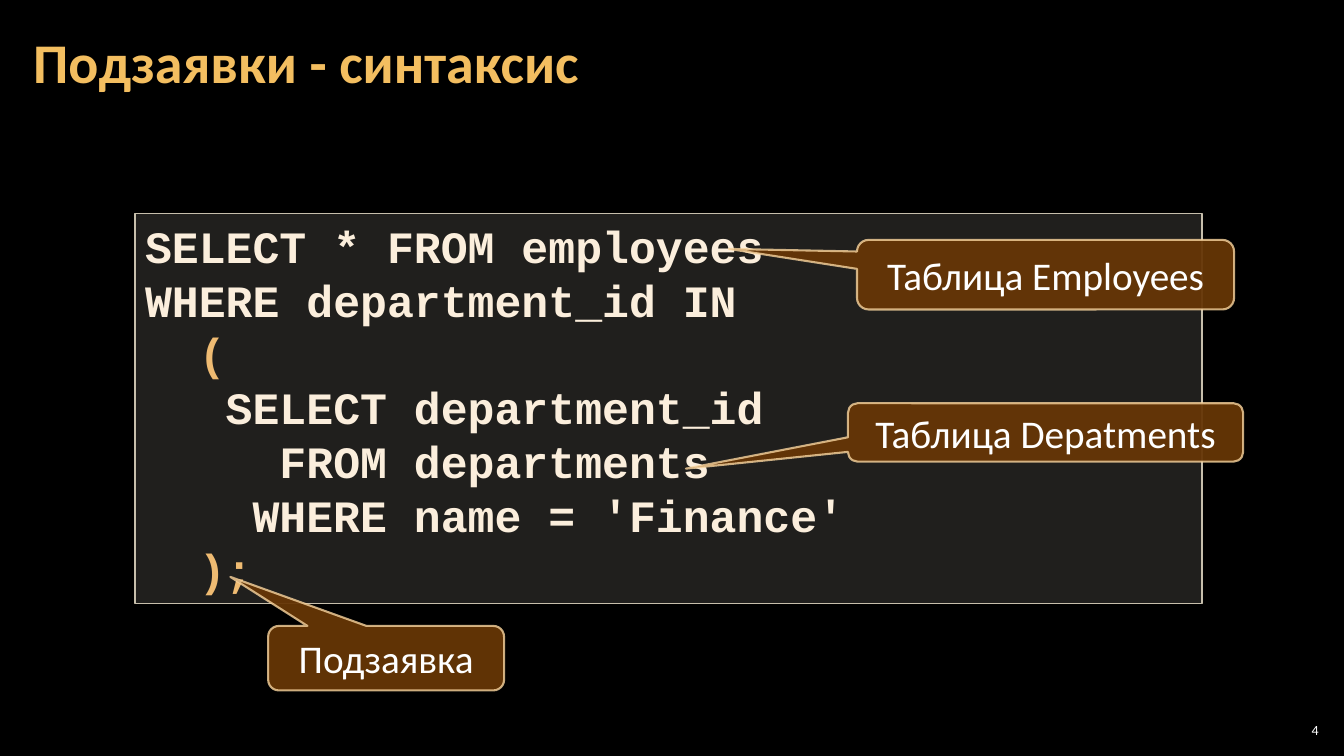
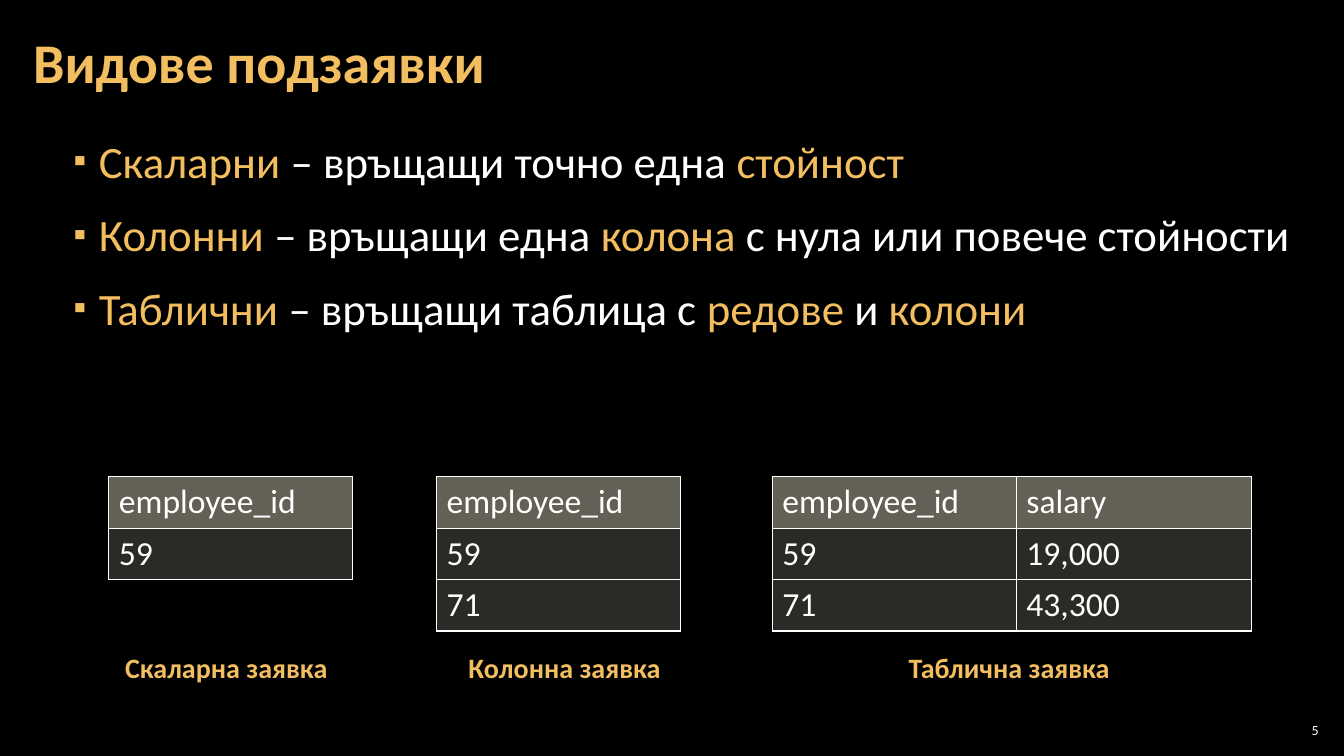
from dataclasses import dataclass

from lxml import etree
from pptx import Presentation
from pptx.dml.color import RGBColor
from pptx.enum.shapes import MSO_SHAPE
from pptx.enum.text import MSO_ANCHOR, PP_ALIGN
from pptx.oxml.ns import qn
from pptx.util import Inches, Pt

RECTANGLE = MSO_SHAPE.RECTANGLE
CALLOUT = MSO_SHAPE.ROUNDED_RECTANGULAR_CALLOUT
LEFT, CENTER, RIGHT = PP_ALIGN.LEFT, PP_ALIGN.CENTER, PP_ALIGN.RIGHT
TOP, MIDDLE = MSO_ANCHOR.TOP, MSO_ANCHOR.MIDDLE

BLACK, WHITE, GOLD = "000000", "FFFFFF", "F3BE60"
CODE_TEXT, CODE_ACCENT = "FBEEDC", "EFBB72"
PANEL, PANEL_LINE, HEADER = "D9D5C7", "C7BFAC", "C6C0AA"
CALLOUT_FILL, CALLOUT_LINE = "663606", "F8D49E"

BODY_FONT, CODE_FONT = "Calibri", "Courier New"
CODE_SIZE = 32
CODE_CHARACTER = 0.6 * CODE_SIZE / 72
DEFAULT_MARGINS = (0.1, 0.05)
BODY_MARGINS = (0.12, 0.04)
TABLE_TOP, ROW_HEIGHT = 4.73, 0.51
CAPTION_TOP, CAPTION_HEIGHT = 6.4, 0.44


@dataclass
class Span:
    text: str
    colour: str = WHITE


@dataclass
class Paragraph:
    spans: list[Span]
    indent: float = 0
    hanging: float = 0
    bullet: str = ""


@dataclass
class Callout:
    text: str
    box: tuple[float, float, float, float]
    tip: tuple[float, float]


@dataclass
class Result:
    """A query result: a table with a caption below it."""
    left: float
    widths: list[float]
    rows: list[list[str]]
    caption: str
    caption_left: float
    caption_width: float


CODE = [
    (0, "SELECT * FROM employees", CODE_TEXT),
    (0, "WHERE department_id IN", CODE_TEXT),
    (2, "(", CODE_ACCENT),
    (3, "SELECT department_id", CODE_TEXT),
    (5, "FROM departments", CODE_TEXT),
    (4, "WHERE name = 'Finance'", CODE_TEXT),
    (2, ");", CODE_ACCENT),
]
CALLOUTS = [
    Callout("Таблица Depatments", (8.41, 4, 3.92, 0.58), (-0.91, 0.62)),
    Callout("Подзаявка", (2.66, 6.21, 2.34, 0.64), (-0.66, -1.26)),
    Callout("Таблица Employees", (8.5, 2.38, 3.74, 0.69), (-0.84, -0.37)),
]
# Odd pieces are highlighted, even ones are plain.
KINDS = [
    ["Скаларни", " – връщащи точно една ", "стойност"],
    ["Колонни", " – връщащи една ", "колона", " с нула или повече стойности"],
    ["Таблични", " – връщащи таблица с ", "редове", " и ", "колони"],
]
RESULTS = [
    Result(1.08, [2.42], [["employee_id"], ["59"]],
           "Скаларна заявка", 1.08, 2.33),
    Result(4.33, [2.42], [["employee_id"], ["59"], ["71"]],
           "Колонна заявка", 4.45, 2.3),
    Result(7.66, [2.42, 2.33],
           [["employee_id", "salary"], ["59", "19,000"], ["71", "43,300"]],
           "Таблична заявка", 7.58, 4.86),
]


def paint(fill, colour: str, owner=None, opacity: int = 100) -> None:
    """Fill with a colour; owner is the XML parent, needed for transparency."""
    fill.solid()
    fill.fore_color.rgb = RGBColor.from_string(colour)
    if opacity < 100:
        solid = owner.find(qn("a:solidFill"))
        etree.SubElement(solid[0], qn("a:alpha"), val=str(opacity * 1000))


def add_bullet(properties, character: str) -> None:
    colour = etree.SubElement(properties, qn("a:buClr"))
    etree.SubElement(colour, qn("a:srgbClr"), val=GOLD)
    etree.SubElement(properties, qn("a:buSzPct"), val="80000")
    etree.SubElement(properties, qn("a:buFont"), typeface=BODY_FONT)
    etree.SubElement(properties, qn("a:buChar"), char=character)


def write(frame, paragraphs: list[Paragraph], *, size: float,
          font: str = BODY_FONT, bold: bool = False, align=LEFT, anchor=TOP,
          margins: tuple[float, float] = DEFAULT_MARGINS,
          line_spacing: float = 1, gap: float = 0) -> None:
    frame.word_wrap = True
    frame.vertical_anchor = anchor
    frame.margin_left = frame.margin_right = Inches(margins[0])
    frame.margin_top = frame.margin_bottom = Inches(margins[1])
    for index, paragraph in enumerate(paragraphs):
        para = frame.add_paragraph() if index else frame.paragraphs[0]
        para.alignment = align
        para.line_spacing = line_spacing
        para.space_before = para.space_after = Pt(gap)
        properties = para._p.get_or_add_pPr()
        properties.set("marL", str(Inches(paragraph.indent)))
        properties.set("indent", str(Inches(paragraph.hanging)))
        if paragraph.bullet:
            add_bullet(properties, paragraph.bullet)
        for span in paragraph.spans:
            run = para.add_run()
            run.text = span.text
            run.font.name = font
            run.font.size = Pt(size)
            run.font.bold = bold
            paint(run.font.fill, span.colour)


def line(text: str, colour: str = WHITE) -> list[Paragraph]:
    return [Paragraph([Span(text, colour)])]


def add_text(page, box: tuple[float, float, float, float],
             paragraphs: list[Paragraph], **text_format) -> None:
    shape = page.shapes.add_textbox(*map(Inches, box))
    write(shape.text_frame, paragraphs, **text_format)


def add_panel(page, kind, box: tuple[float, float, float, float], *,
              fill: str, fill_opacity: int, outline: str, width: float,
              outline_opacity: int = 100):
    shape = page.shapes.add_shape(kind, *map(Inches, box))
    shape.shadow.inherit = False
    properties = shape.element.spPr
    paint(shape.fill, fill, properties, fill_opacity)
    shape.line.width = Pt(width)
    paint(shape.line.fill, outline, properties.find(qn("a:ln")),
          outline_opacity)
    return shape


def add_page(deck, title: str, number: int):
    page = deck.slides.add_slide(deck.slide_layouts[6])
    paint(page.background.fill, BLACK)
    add_text(page, (0.21, 0.04, 10.47, 1.21), line(title, GOLD), size=40,
             bold=True, anchor=MIDDLE, margins=BODY_MARGINS, line_spacing=0.9)
    add_text(page, (12.65, 7.14, 0.47, 0.21), line(str(number)), size=10,
             align=RIGHT, anchor=MIDDLE, margins=(0.04, 0.04))
    return page


def add_callout(page, callout: Callout) -> None:
    shape = add_panel(page, CALLOUT, callout.box, fill=CALLOUT_FILL,
                      fill_opacity=95, outline=CALLOUT_LINE, width=1.5,
                      outline_opacity=80)
    shape.adjustments[0], shape.adjustments[1] = callout.tip
    write(shape.text_frame, line(callout.text), size=28, align=CENTER,
          anchor=MIDDLE)


def add_borders(properties) -> None:
    for position, tag in enumerate(("a:lnL", "a:lnR", "a:lnT", "a:lnB")):
        border = etree.Element(qn(tag), w=str(Pt(1)))
        solid = etree.SubElement(border, qn("a:solidFill"))
        etree.SubElement(solid, qn("a:srgbClr"), val=WHITE)
        properties.insert(position, border)


def add_result(page, result: Result) -> None:
    row_count, column_count = len(result.rows), len(result.widths)
    box = (result.left, TABLE_TOP, sum(result.widths), ROW_HEIGHT * row_count)
    table = page.shapes.add_table(row_count, column_count,
                                  *map(Inches, box)).table
    table.first_row = table.horz_banding = False
    for column, width in zip(table.columns, result.widths):
        column.width = Inches(width)
    for row_index, values in enumerate(result.rows):
        is_header = row_index == 0
        table.rows[row_index].height = Inches(ROW_HEIGHT)
        for column_index, value in enumerate(values):
            cell = table.cell(row_index, column_index)
            write(cell.text_frame, line(value), size=24)
            properties = cell._tc.get_or_add_tcPr()
            paint(cell.fill, HEADER if is_header else PANEL, properties,
                  50 if is_header else 20)
            add_borders(properties)
    add_text(page, (result.caption_left, CAPTION_TOP, result.caption_width,
                    CAPTION_HEIGHT),
             line(result.caption, GOLD), size=20, bold=True, align=CENTER)


def add_syntax_page(deck) -> None:
    page = add_page(deck, "Подзаявки - синтаксис", 4)
    panel = add_panel(page, RECTANGLE, (1.34, 2.12, 10.58, 3.87), fill=PANEL,
                      fill_opacity=15, outline=PANEL_LINE, width=1)
    code = [Paragraph([Span(text, colour)], indent=depth * CODE_CHARACTER)
            for depth, text, colour in CODE]
    write(panel.text_frame, code, size=CODE_SIZE, font=CODE_FONT, bold=True)
    for callout in CALLOUTS:
        add_callout(page, callout)


def add_kinds_page(deck) -> None:
    page = add_page(deck, "Видове подзаявки", 5)
    kinds = [Paragraph([Span(text, WHITE if index % 2 else GOLD)
                        for index, text in enumerate(pieces)],
                       indent=0.65, hanging=-0.25, bullet="▪")
             for pieces in KINDS]
    add_text(page, (0.21, 1.26, 12.91, 6.09), kinds, size=32,
             margins=BODY_MARGINS, line_spacing=1.05, gap=6)
    for result in RESULTS:
        add_result(page, result)


def main() -> None:
    deck = Presentation()
    deck.slide_width, deck.slide_height = Inches(13.33), Inches(7.5)
    add_syntax_page(deck)
    add_kinds_page(deck)
    deck.save("out.pptx")


if __name__ == "__main__":
    main()
